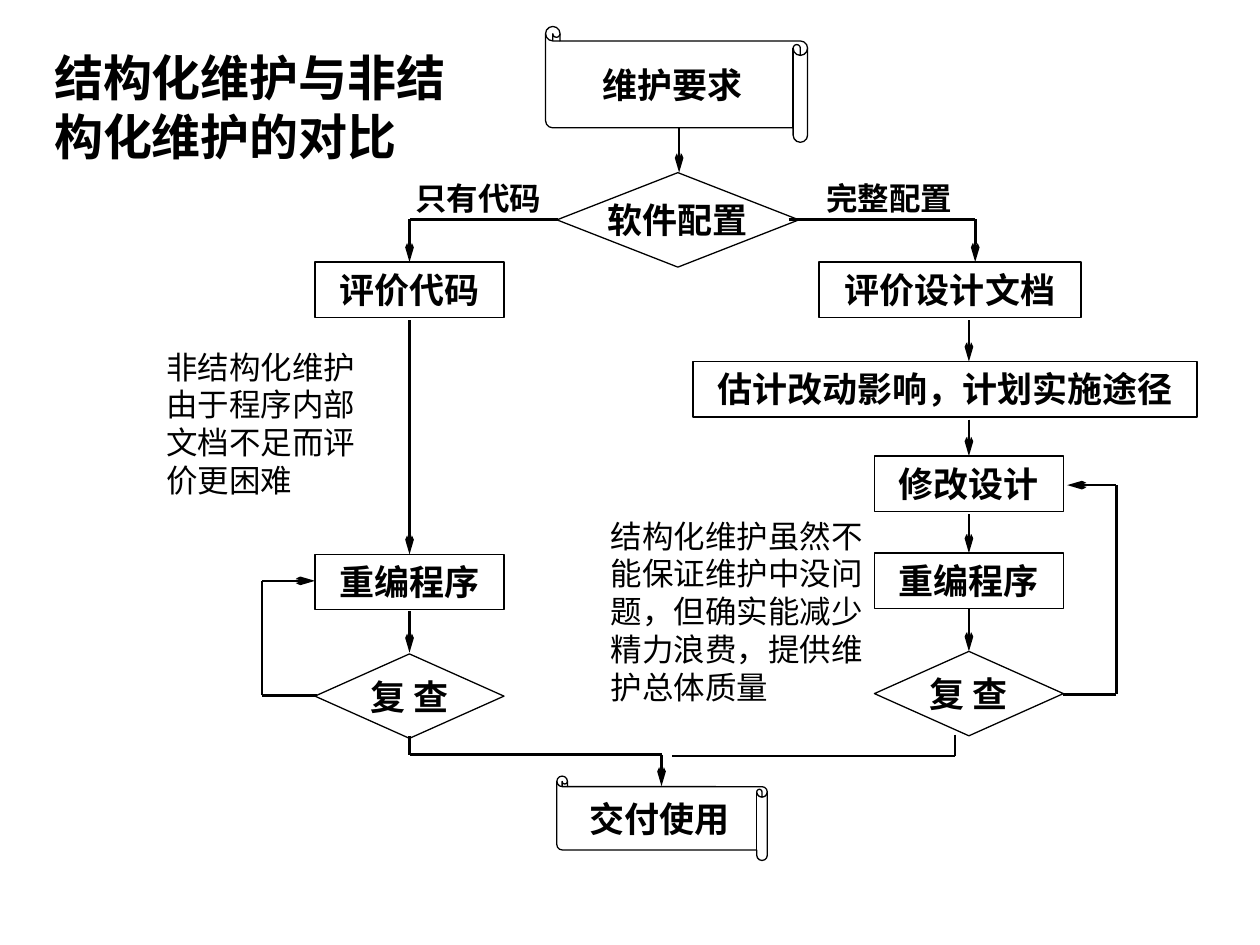
from itertools import pairwise

from lxml import etree
from pptx import Presentation
from pptx.dml.color import RGBColor
from pptx.enum.shapes import MSO_CONNECTOR, MSO_SHAPE
from pptx.enum.text import MSO_ANCHOR, MSO_AUTO_SIZE, PP_ALIGN
from pptx.oxml.ns import qn
from pptx.util import Inches, Pt

RECT, DIAMOND = MSO_SHAPE.RECTANGLE, MSO_SHAPE.DIAMOND
SCROLL = MSO_SHAPE.HORIZONTAL_SCROLL
STRAIGHT = MSO_CONNECTOR.STRAIGHT
LEFT, CENTER = PP_ALIGN.LEFT, PP_ALIGN.CENTER
TOP, MIDDLE = MSO_ANCHOR.TOP, MSO_ANCHOR.MIDDLE
GROW, FIXED = MSO_AUTO_SIZE.SHAPE_TO_FIT_TEXT, MSO_AUTO_SIZE.NONE
COLORS = {"ink": "000000", "paper": "FFFFFF"}
LATIN, CJK = "Arial", "Noto Sans CJK SC"
BOX_W, BOX_H, CHECK_H = 1.5, 0.44, 0.67


def color(name):
    """Return a named colour."""
    return RGBColor.from_string(COLORS[name])


def write(sp, text, size, bold=True, align=CENTER, font=LATIN, anchor=TOP,
          wrap=True, fit=GROW):
    """Put one formatted paragraph in a shape."""
    tf = sp.text_frame
    tf.text = text
    tf.word_wrap, tf.auto_size, tf.vertical_anchor = wrap, fit, anchor
    p = tf.paragraphs[0]
    p.alignment = align
    r = p.runs[0]
    r.font.name, r.font.size, r.font.bold = font, Pt(size), bold
    r.font.color.rgb = color("ink")
    etree.SubElement(r.font._element, qn("a:ea"), typeface=CJK)


def add_node(s, kind, text, x, y, w=BOX_W, h=BOX_H):
    """Add an outlined flowchart node."""
    sp = s.shapes.add_shape(kind, Inches(x), Inches(y), Inches(w), Inches(h))
    sp.shadow.inherit = False
    sp.fill.background()
    sp.line.color.rgb = color("ink")
    sp.line.width = Pt(0.75)
    if kind == RECT:
        write(sp, text, 20)
    else:
        write(sp, text, 20, anchor=MIDDLE, wrap=False, fit=FIXED)
    if kind == SCROLL:
        sp._element.spPr.find(qn("a:xfrm")).set("flipH", "1")


def add_label(s, text, x, y, w, h, **style):
    """Add a free text label."""
    sp = s.shapes.add_textbox(Inches(x), Inches(y), Inches(w), Inches(h))
    write(sp, text, 18, **style)


def add_route(s, *points, arrow=True):
    """Join points with straight lines, ending in an arrowhead."""
    for start, end in pairwise(points):
        line = s.shapes.add_connector(STRAIGHT, *map(Inches, start + end))
        line.line.color.rgb = color("ink")
        line.line.width = Pt(1.5)
        if arrow and end == points[-1]:
            etree.SubElement(line.line._get_or_add_ln(), qn("a:tailEnd"),
                             type="arrow", w="sm", len="lg")
        etree.SubElement(line._element.spPr, qn("a:effectLst"))


def add_title(s, x, y, w, h):
    """Place the slide title."""
    sp = s.shapes.title
    sp.left, sp.top, sp.width, sp.height = map(Inches, (x, y, w, h))
    write(sp, "结构化维护与非结构化维护的对比", 28, align=LEFT, font=CJK)


def add_request(s, x, y, w):
    """Draw the request scroll and the configuration decision."""
    add_node(s, SCROLL, "维护要求", x, y, w, 0.92)
    add_node(s, DIAMOND, "软件配置", x + 0.09, y + 1.16, 1.92, 0.75)
    add_route(s, (x + 1.06, y + 0.81), (x + 1.06, y + 1.16))


def add_code_branch(s, x, y, w):
    """Draw the unstructured branch with its review loop."""
    mid, loop = x + w / 2, x - 0.42
    add_route(s, (x + 1.93, y - 0.34), (mid, y - 0.34), (mid, y))
    add_label(s, "只有代码", x + 0.67, y - 0.71, 1.25, 0.4)
    add_node(s, RECT, "评价代码", x, y, w)
    add_route(s, (mid, y + 0.46), (mid, y + 2.32))
    add_node(s, RECT, "重编程序", x, y + 2.32, w)
    add_route(s, (mid, y + 2.77), (mid, y + 3.1))
    add_node(s, DIAMOND, "复 查", x, y + 3.11, w, CHECK_H)
    add_route(s, (x + 0.02, y + 3.44), (loop, y + 3.44),
              (loop, y + 2.53), (x, y + 2.53))


def add_config_branch(s, x, y, w):
    """Draw the structured branch with its review loop."""
    left = x + 1.44
    mid, right = left + BOX_W / 2, left + BOX_W
    loop = right + 0.42
    add_route(s, (x + 0.76, y - 0.34), (x + 2.24, y - 0.34), (x + 2.24, y))
    add_label(s, "完整配置", x + 0.78, y - 0.71, 1.56, 0.4)
    add_node(s, RECT, "评价设计文档", x + 1, y, 2.08)
    add_node(s, RECT, "估计改动影响，计划实施途径", x, y + 0.79, w)
    add_node(s, RECT, "修改设计", left, y + 1.54)
    add_node(s, RECT, "重编程序", left, y + 2.31)
    add_node(s, DIAMOND, "复 查", left, y + 3.09, h=CHECK_H)
    for start, end in ((0.46, 0.79), (1.25, 1.54), (2, 2.31), (2.75, 3.09)):
        add_route(s, (mid, y + start), (mid, y + end))
    add_route(s, (right, y + 3.43), (loop, y + 3.43),
              (loop, y + 1.77), (right + 0.03, y + 1.77))


def add_delivery(s, x, y, w, h):
    """Draw the delivery scroll and the lines that lead to it."""
    join = y - 0.17
    add_route(s, (x - 1.17, y - 0.32), (x - 1.17, join),
              (x + 0.83, join), (x + 0.83, y + 0.08))
    add_node(s, SCROLL, "交付使用", x, y, w, h)
    add_route(s, (x + 3.16, y - 0.33), (x + 3.16, join + 0.01),
              (x + 0.91, join + 0.01), arrow=False)


def add_notes(s, x, y):
    """Place the comment beside each branch."""
    add_label(s, "非结构化维护由于程序内部文档不足而评价更困难",
              x, y, 1.73, 1.31, bold=False, align=LEFT)
    add_label(s, "结构化维护虽然不能保证维护中没问题，但确实能减少精力浪费，提供维护总体质量",
              x + 3.53, y + 1.34, 2.22, 1.62, bold=False, align=LEFT)


def main():
    """Build and save the slide."""
    prs = Presentation()
    prs.slide_width, prs.slide_height = Inches(10), Inches(7.5)
    s = prs.slides.add_slide(prs.slide_layouts[5])
    s.background.fill.solid()
    s.background.fill.fore_color.rgb = color("paper")
    add_title(s, 0.33, 0.33, 3.58, 1.03)
    add_request(s, 4.33, 0.21, 2.08)
    add_code_branch(s, 2.5, 2.08, BOX_W)
    add_config_branch(s, 5.5, 2.08, 4)
    add_delivery(s, 4.42, 6.16, 1.67, CHECK_H)
    add_notes(s, 1.22, 2.71)
    prs.save("out.pptx")


if __name__ == "__main__":
    main()
